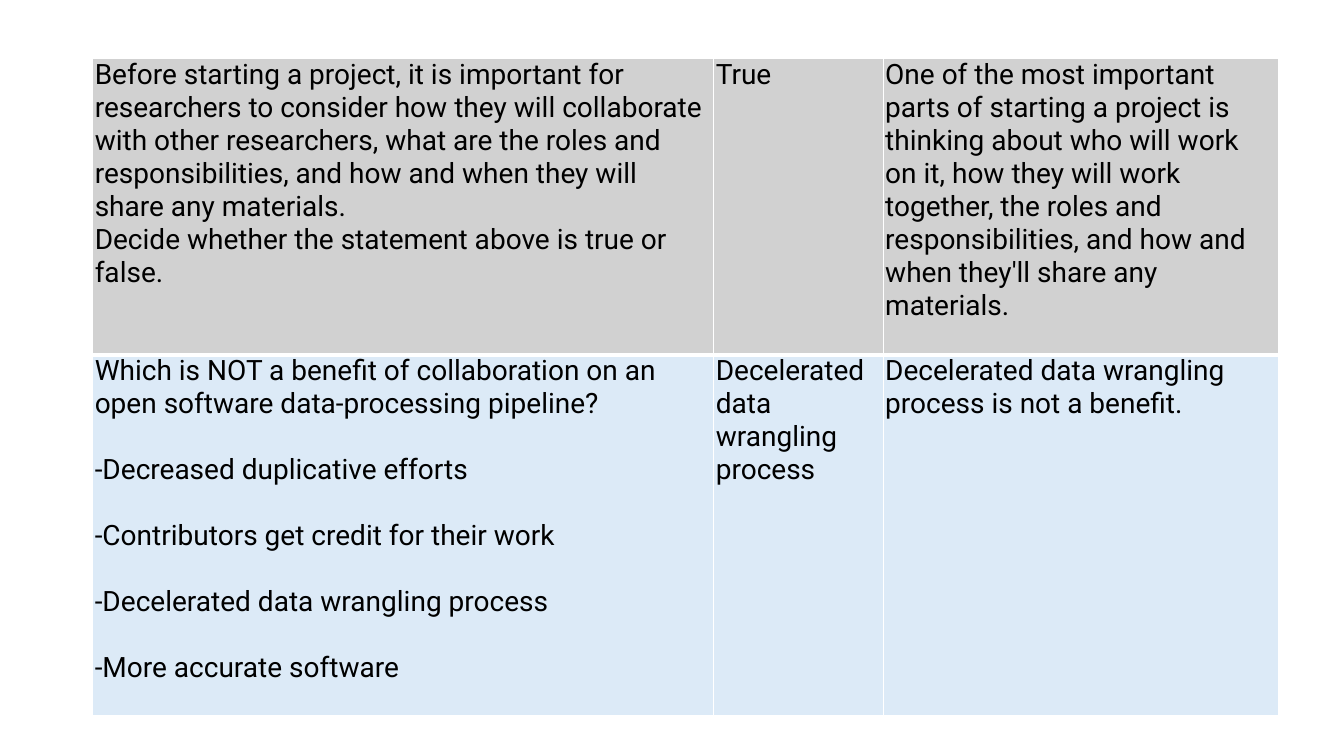
"""Build a slide with a two-row table of quiz questions, answers and explanations."""
from lxml.etree import SubElement
from pptx import Presentation
from pptx.dml.color import RGBColor as RGB
from pptx.oxml.ns import qn
from pptx.util import Inches, Pt

COLORS = {"text": "000000", "border": "FFFFFF", "grey": "D1D1D1", "blue": "DCEAF7"}
FONT = {"name": "Roboto", "size": Pt(20), "bold": False}
MARGINS = {"margin_left": Inches(0.02), "margin_right": Inches(0.02),
           "margin_top": 0, "margin_bottom": 0}
STYLE = {"first_row": False, "horz_banding": False}
LEFT, TOP = 0.92, 0.58
COLS = [6.16, 1.68, 3.92]
ROWS = [
    {"height": 2.94, "fill": "grey", "gap": 0,
     "borders": {"lnL": 1, "lnR": 1, "lnT": 1, "lnB": 3},
     "cells": [
         ["Before starting a project, it is important for researchers to consider how "
          "they will collaborate with other researchers, what are the roles and "
          "responsibilities, and how and when they will share any materials.",
          "Decide whether the statement above is true or false."],
         ["True"],
         ["One of the most important parts of starting a project is thinking about who "
          "will work on it, how they will work together, the roles and "
          "responsibilities, and how and when they'll share any materials."]]},
    {"height": 3.58, "fill": "blue", "gap": 23.5,
     "borders": {"lnL": 1, "lnR": 1, "lnT": 3, "lnB": 1},
     "cells": [
         ["Which is NOT a benefit of collaboration on an open software "
          "data-processing pipeline?",
          "-Decreased duplicative efforts",
          "-Contributors get credit for their work",
          "-Decelerated data wrangling process",
          "-More accurate software"],
         ["Decelerated data wrangling process"],
         ["Decelerated data wrangling process is not a benefit."]]},
]


def apply(obj, values):
    for key, value in values.items():
        setattr(obj, key, value)


def set_borders(cell, borders):
    tcPr = cell._tc.get_or_add_tcPr()
    for side, width in borders.items():
        ln = SubElement(tcPr, qn(f"a:{side}"), w=str(Pt(width)))
        fill = SubElement(ln, qn("a:solidFill"))
        SubElement(fill, qn("a:srgbClr"), val=COLORS["border"])


def fill_cell(cell, paragraphs, row):
    apply(cell, MARGINS)
    set_borders(cell, row["borders"])
    cell.fill.solid()
    cell.fill.fore_color.rgb = RGB.from_string(COLORS[row["fill"]])
    tf = cell.text_frame
    for i, text in enumerate(paragraphs):
        p = tf.add_paragraph() if i else tf.paragraphs[0]
        p.space_before = Pt(row["gap"] if i else 0)
        r = p.add_run()
        r.text = text
        apply(r.font, FONT)
        r.font.color.rgb = RGB.from_string(COLORS["text"])


def main():
    prs = Presentation()
    prs.slide_width, prs.slide_height = Inches(13.33), Inches(7.5)
    s = prs.slides.add_slide(prs.slide_layouts[6])
    height = sum(row["height"] for row in ROWS)
    table = s.shapes.add_table(len(ROWS), len(COLS), Inches(LEFT), Inches(TOP),
                               Inches(sum(COLS)), Inches(height)).table
    apply(table, STYLE)
    for col, width in zip(table.columns, COLS):
        col.width = Inches(width)
    for i, row in enumerate(ROWS):
        table.rows[i].height = Inches(row["height"])
        for j, paragraphs in enumerate(row["cells"]):
            fill_cell(table.cell(i, j), paragraphs, row)
    prs.save("out.pptx")


if __name__ == "__main__":
    main()
